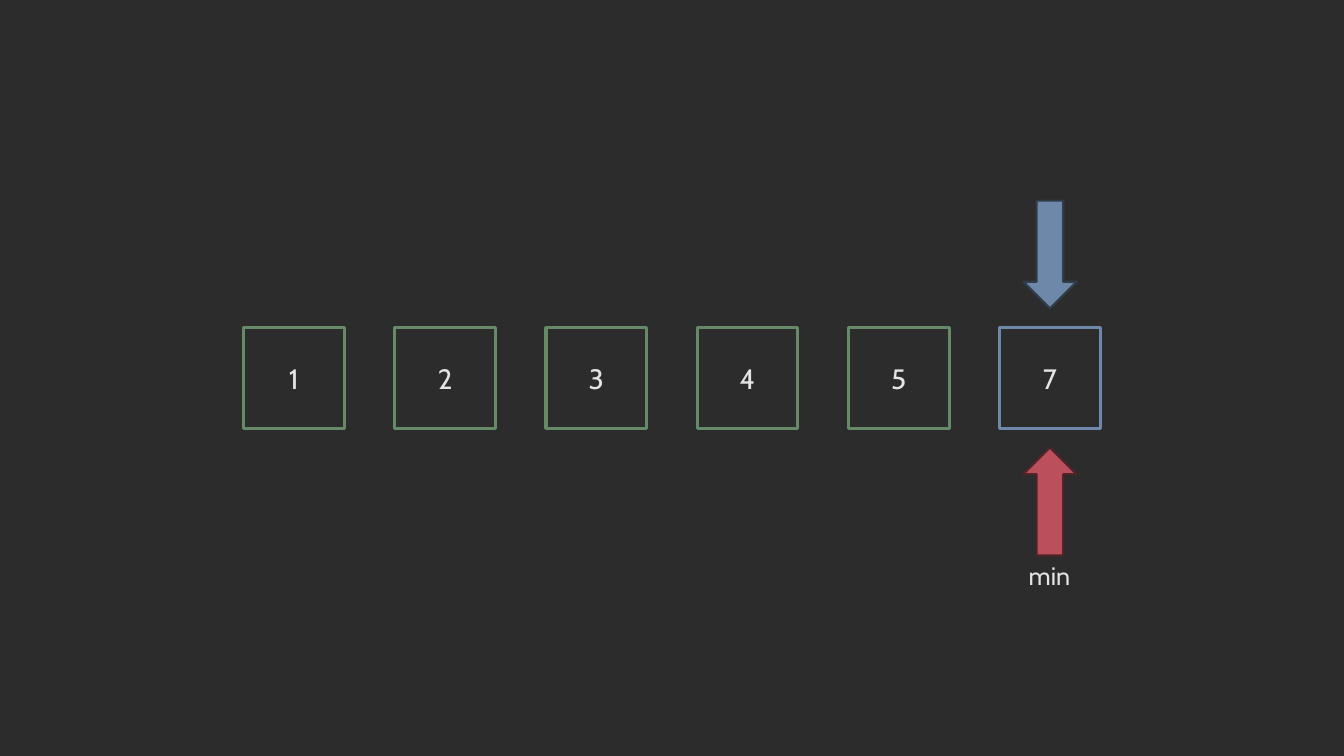
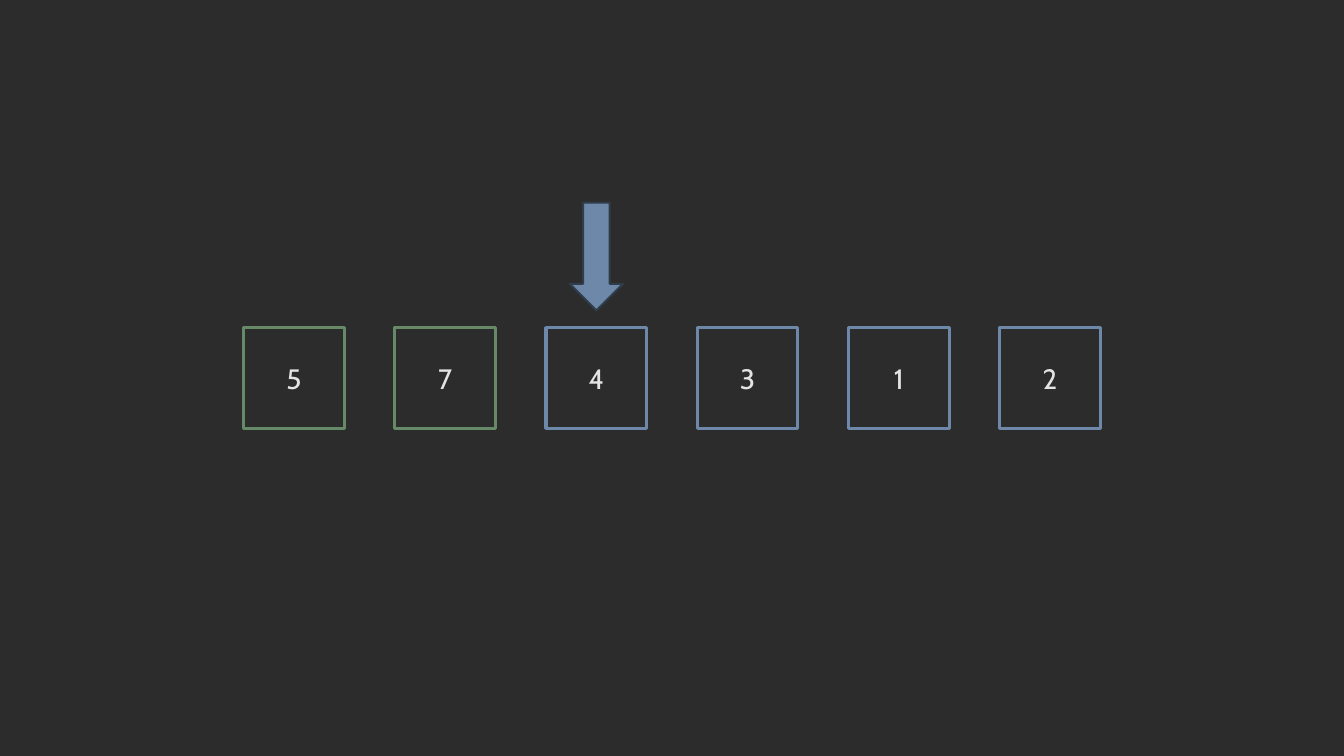
import pptx
import pptx.dml.color
import pptx.enum.shapes
import pptx.enum.text
import pptx.util

Pt = pptx.util.Pt
SHAPE = pptx.enum.shapes.MSO_SHAPE
ANCHOR = pptx.enum.text.MSO_ANCHOR
ALIGN = pptx.enum.text.PP_ALIGN
AUTO_SIZE = pptx.enum.text.MSO_AUTO_SIZE

COLORS = {
    "background": "2C2C2C",
    "text": "E4E4E4",
    "sorted": "668A68",
    "unsorted": "6D88A8",
    "cursor": "6D88A8",
    "cursor_edge": "303C4A",
    "minimum": "BB4F5C",
    "minimum_edge": "522328",
}
FONT = "Cabin"
SLIDE_WIDTH, SLIDE_HEIGHT = 960, 540
BOX_SIZE, BOX_PITCH = 72, 108
BOX_TOP = (SLIDE_HEIGHT - BOX_SIZE) / 2
ARROW_WIDTH, ARROW_HEIGHT = 38, 77
ARROW_GAP = 13.7
LABEL_WIDTH, LABEL_HEIGHT = 44.6, 28.8


def color(name):
    return pptx.dml.color.RGBColor.from_string(COLORS[name])


def write_text(frame, text, size=20, align=ALIGN.CENTER, anchor=ANCHOR.MIDDLE):
    frame.vertical_anchor = anchor
    paragraph = frame.paragraphs[0]
    paragraph.alignment = align
    run = paragraph.add_run()
    run.text = text
    run.font.name = FONT
    run.font.size = Pt(size)
    run.font.color.rgb = color("text")


class ArrayDeck:
    """Draws the states of an array that is being sorted, one per slide."""

    def __init__(self):
        self.presentation = pptx.Presentation()
        self.presentation.slide_width = Pt(SLIDE_WIDTH)
        self.presentation.slide_height = Pt(SLIDE_HEIGHT)
        self.slide = None
        self.row_left = 0

    def add_slide(self):
        self.slide = self.presentation.slides.add_slide(self.presentation.slide_layouts[6])
        fill = self.slide.background.fill
        fill.solid()
        fill.fore_color.rgb = color("background")

    def add_shape(self, kind, left, top, width, height, line, line_width, fill=None):
        shape = self.slide.shapes.add_shape(kind, Pt(left), Pt(top), Pt(width), Pt(height))
        shape.shadow.inherit = False
        if fill:
            shape.fill.solid()
            shape.fill.fore_color.rgb = color(fill)
        else:
            shape.fill.background()
        shape.line.color.rgb = color(line)
        shape.line.width = Pt(line_width)
        return shape

    def add_array(self, values, sorted_count):
        """Centre a row of boxes, of which the first sorted_count are sorted."""
        row_width = (len(values) - 1) * BOX_PITCH + BOX_SIZE
        self.row_left = (SLIDE_WIDTH - row_width) / 2
        for index, value in enumerate(values):
            line = "sorted" if index < sorted_count else "unsorted"
            box = self.add_shape(SHAPE.RECTANGLE, self.row_left + index * BOX_PITCH, BOX_TOP,
                                 BOX_SIZE, BOX_SIZE, line, 2.25)
            write_text(box.text_frame, str(value))

    def box_center(self, index):
        return self.row_left + index * BOX_PITCH + BOX_SIZE / 2

    def add_cursor(self, index, gap=ARROW_GAP):
        """Point at a box from above."""
        self.add_shape(SHAPE.DOWN_ARROW, self.box_center(index) - ARROW_WIDTH / 2,
                       BOX_TOP - gap - ARROW_HEIGHT, ARROW_WIDTH, ARROW_HEIGHT,
                       "cursor_edge", 1.5, fill="cursor")

    def add_minimum(self, index):
        """Point at a box from below, with a label under the arrow."""
        center = self.box_center(index)
        top = BOX_TOP + BOX_SIZE + ARROW_GAP
        self.add_shape(SHAPE.UP_ARROW, center - ARROW_WIDTH / 2, top,
                       ARROW_WIDTH, ARROW_HEIGHT, "minimum_edge", 1.5, fill="minimum")
        label = self.slide.shapes.add_textbox(Pt(center - LABEL_WIDTH / 2), Pt(top + ARROW_HEIGHT),
                                              Pt(LABEL_WIDTH), Pt(LABEL_HEIGHT))
        label.text_frame.word_wrap = False
        label.text_frame.auto_size = AUTO_SIZE.SHAPE_TO_FIT_TEXT
        write_text(label.text_frame, "min", size=18, align=ALIGN.LEFT, anchor=ANCHOR.TOP)


def main():
    deck = ArrayDeck()

    deck.add_slide()
    deck.add_array([1, 2, 3, 4, 5, 7], sorted_count=5)
    deck.add_cursor(5)
    deck.add_minimum(5)

    deck.add_slide()
    deck.add_array([5, 7, 4, 3, 1, 2], sorted_count=2)
    deck.add_cursor(2, gap=12.2)

    deck.presentation.save("out.pptx")


if __name__ == "__main__":
    main()
